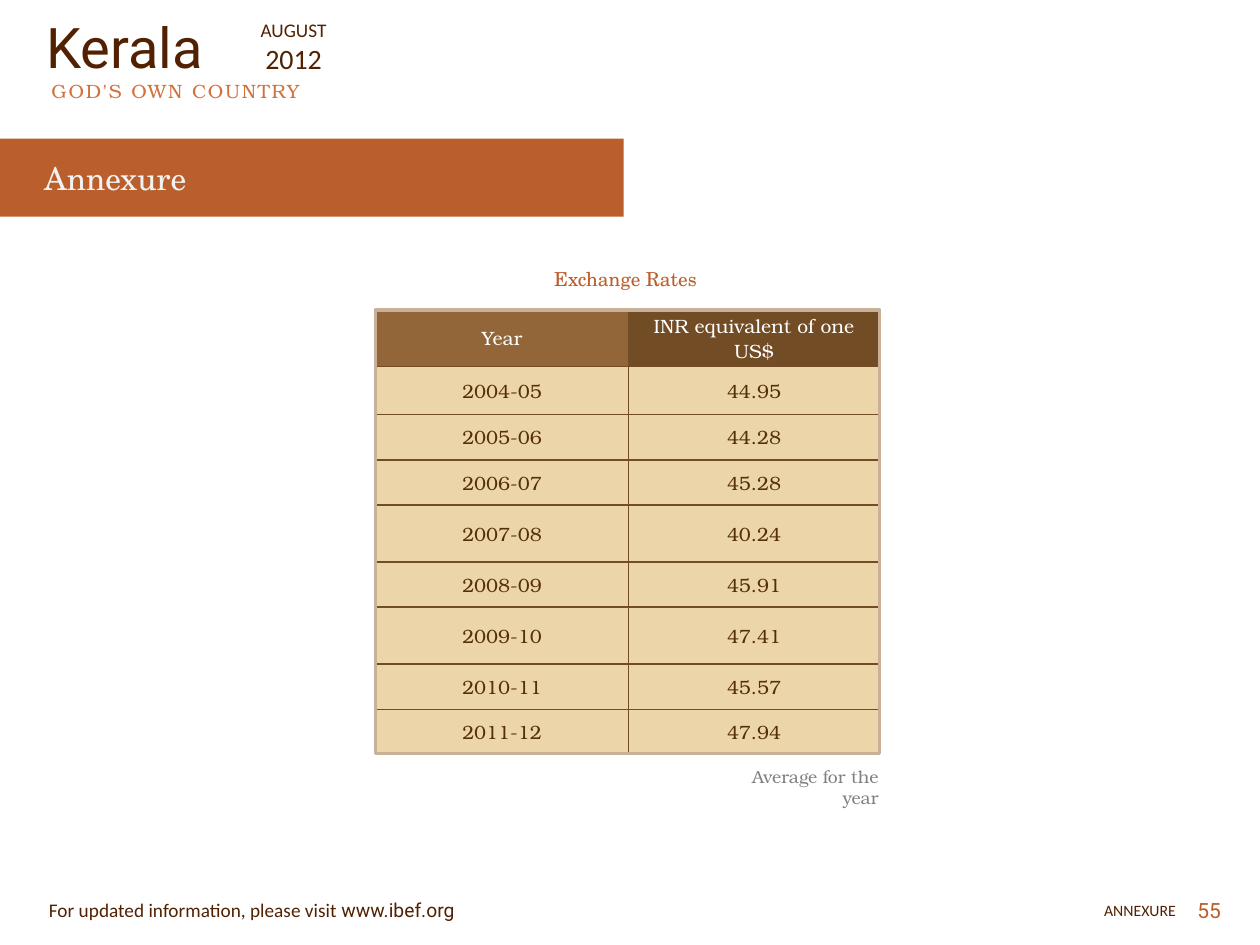
import pptx
import pptx.util
import pptx.dml.color
import pptx.enum.shapes
import pptx.enum.text
import pptx.oxml
import pptx.oxml.ns

Inches = pptx.util.Inches
ALIGN = pptx.enum.text.PP_ALIGN
ANCHOR = pptx.enum.text.MSO_ANCHOR

COLORS = {
    "rust": "BA5E2B", "orange": "D1713B", "brown": "522102",
    "ink": "553007", "dark": "724C24", "mid": "926638",
    "sand": "ECD5A9", "frame": "C8B198", "gray": "808080",
    "pale": "F2F2F2", "white": "FFFFFF",
}
BONUM, SCHOLA = "TeX Gyre Bonum", "TeX Gyre Schola"
RATES = [
    ("Year", "INR equivalent of one US$"),
    ("2004-05", "44.95"), ("2005-06", "44.28"), ("2006-07", "45.28"),
    ("2007-08", "40.24"), ("2008-09", "45.91"), ("2009-10", "47.41"),
    ("2010-11", "45.57"), ("2011-12", "47.94"),
]
WIDTHS = [2.01, 1.99]
HEIGHTS = [0.45, 0.38, 0.36, 0.36, 0.45, 0.36, 0.45, 0.36, 0.36]


class Deck:
    def __init__(self):
        self.prs = pptx.Presentation()
        self.prs.slide_width = Inches(10)
        self.prs.slide_height = Inches(7.5)
        self.slide = self.prs.slides.add_slide(self.prs.slide_layouts[5])
        self.shapes = self.slide.shapes

    def color(self, name):
        return pptx.dml.color.RGBColor.from_string(COLORS[name])

    def style(self, run, font, size, color):
        run.font.name = font
        run.font.size = pptx.util.Pt(size)
        run.font.color.rgb = self.color(color)

    def title(self, text, box, font, size, color):
        title = self.shapes.title
        title.left, title.top, title.width, title.height = map(Inches, box)
        frame = title.text_frame
        frame.text = text
        frame.vertical_anchor = ANCHOR.MIDDLE
        frame.auto_size = pptx.enum.text.MSO_AUTO_SIZE.NONE
        frame.paragraphs[0].alignment = ALIGN.LEFT
        self.style(frame.paragraphs[0].runs[0], font, size, color)
        self.shapes._spTree.append(title._element)

    def text(self, text, box, font, size, color, align=ALIGN.LEFT, anchor=ANCHOR.TOP):
        frame = self.shapes.add_textbox(*map(Inches, box)).text_frame
        frame.word_wrap = True
        frame.vertical_anchor = anchor
        frame.text = text
        for para in frame.paragraphs:
            para.alignment = align
            self.style(para.runs[0], font, size, color)
        return frame

    def rect(self, box, fill=None, line=None, width=0):
        kind = pptx.enum.shapes.MSO_SHAPE.RECTANGLE
        rect = self.shapes.add_shape(kind, *map(Inches, box))
        rect.shadow.inherit = False
        if fill:
            rect.fill.solid()
            rect.fill.fore_color.rgb = self.color(fill)
        else:
            rect.fill.background()
        if line:
            rect.line.color.rgb = self.color(line)
            rect.line.width = pptx.util.Pt(width)
        else:
            rect.line.fill.background()

    def border(self, cell, side, color):
        props = cell._tc.get_or_add_tcPr()
        props.append(pptx.oxml.parse_xml(
            f'<a:{side} {pptx.oxml.ns.nsdecls("a")} w="12700"><a:solidFill>'
            f'<a:srgbClr val="{COLORS[color]}"/></a:solidFill></a:{side}>'))

    def cell(self, cell, text, fill, color, pad):
        cell.text = text
        cell.vertical_anchor = ANCHOR.MIDDLE
        cell.margin_left = cell.margin_right = Inches(pad)
        cell.margin_top = cell.margin_bottom = 0
        cell.fill.solid()
        cell.fill.fore_color.rgb = self.color(fill)
        para = cell.text_frame.paragraphs[0]
        para.alignment = ALIGN.CENTER
        self.style(para.runs[0], BONUM, 11, color)

    def table(self, data, left, top, widths, heights):
        rows, cols = len(heights), len(widths)
        box = (left, top, sum(widths), sum(heights))
        table = self.shapes.add_table(rows, cols, *map(Inches, box)).table
        table.horz_banding = False
        for col, width in zip(table.columns, widths):
            col.width = Inches(width)
        for row, height in zip(table.rows, heights):
            row.height = Inches(height)
        for r, line in enumerate(data):
            for c, text in enumerate(line):
                cell = table.cell(r, c)
                edges = {"lnL": c == 0, "lnR": c == cols - 1,
                         "lnT": r == 0, "lnB": r == rows - 1}
                for side, outer in edges.items():
                    self.border(cell, side, "white" if outer else "dark")
                if r == 0:
                    self.cell(cell, text, ("mid", "dark")[c], "white", 0.07)
                else:
                    self.cell(cell, text, "sand", "ink", 0.1)


def main():
    deck = Deck()
    deck.text("55", (7.46, 7.02, 2.33, 0.4), "Roboto", 12, "rust",
              ALIGN.RIGHT, ANCHOR.MIDDLE)
    deck.rect((0, 1.1, 4.95, 0.62), fill="rust")
    motto = deck.text("GOD'S OWN COUNTRY", (0.31, 0.58, 3.11, 0.29),
                      BONUM, 11, "orange")
    motto.paragraphs[0].runs[0].font._element.set("spc", "100")
    deck.title("Annexure", (0.25, 1.21, 3.41, 0.4), SCHOLA, 18, "pale")

    visit = deck.text("For updated information, please visit ",
                      (0.29, 7.08, 4.37, 0.29), "Calibri", 11, "brown")
    link = visit.paragraphs[0].add_run()
    link.text = "www.ibef.org"
    deck.style(link, "Roboto", 11, "brown")
    deck.text("ANNEXURE", (6.58, 7.1, 2.85, 0.25), "Calibri", 9, "brown",
              ALIGN.RIGHT)

    deck.text("Average for the year", (5.59, 6.03, 1.48, 0.27), BONUM, 10,
              "gray", ALIGN.RIGHT)
    deck.table(RATES, 2.98, 2.46, WIDTHS, HEIGHTS)
    deck.rect((2.98, 2.46, 4, 3.52), line="frame", width=2)
    deck.text("Exchange Rates", (2.96, 2.07, 4.01, 0.29), SCHOLA, 11, "rust",
              ALIGN.CENTER)

    deck.text("Kerala", (0.27, 0.05, 1.73, 0.64), "Roboto", 32, "brown")
    date = deck.text("AUGUST\n2012", (1.74, 0.1, 1.18, 0.56), "Calibri", 11,
                     "brown", ALIGN.CENTER)
    date.paragraphs[1].runs[0].font.size = pptx.util.Pt(16)
    deck.prs.save("out.pptx")


if __name__ == "__main__":
    main()
